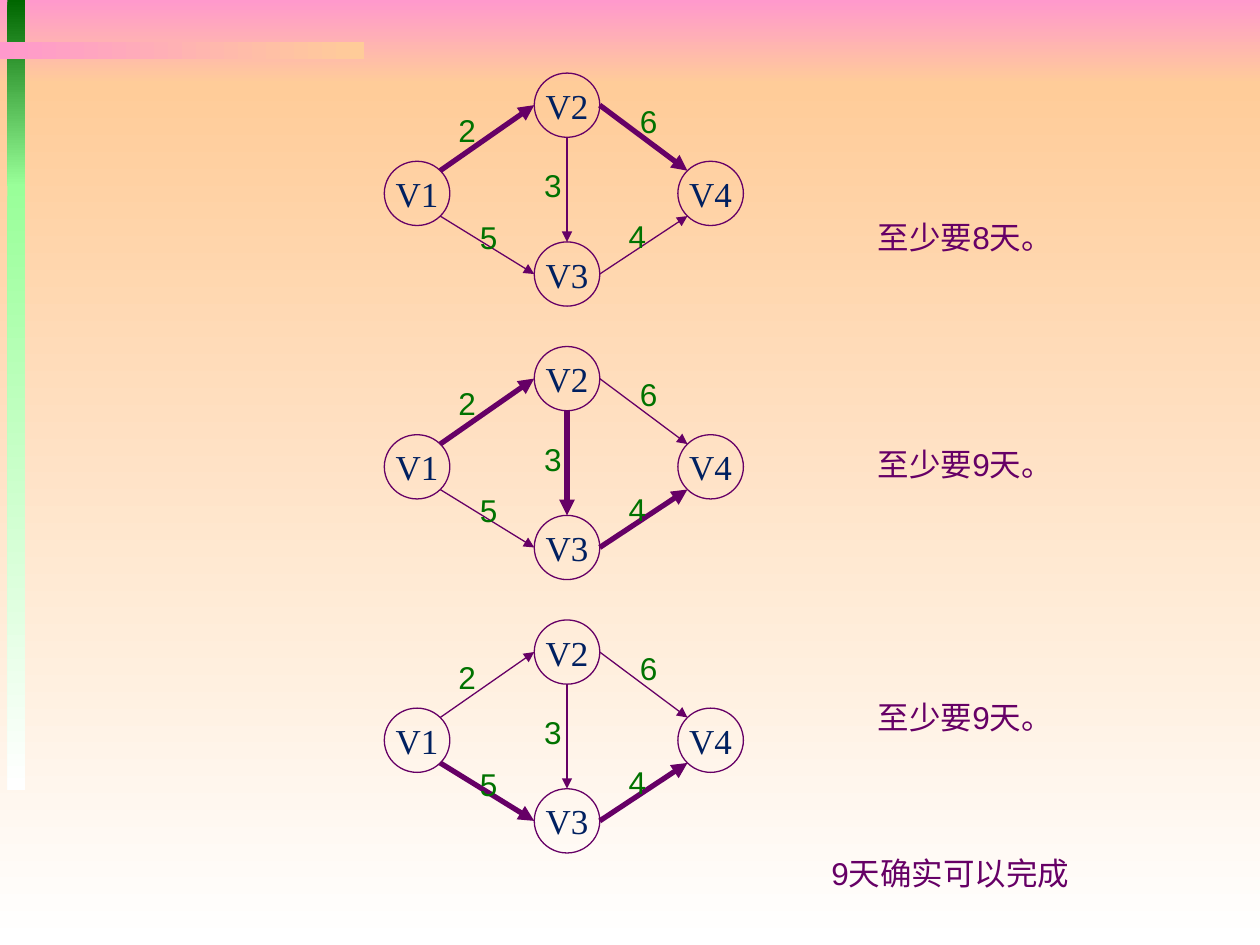
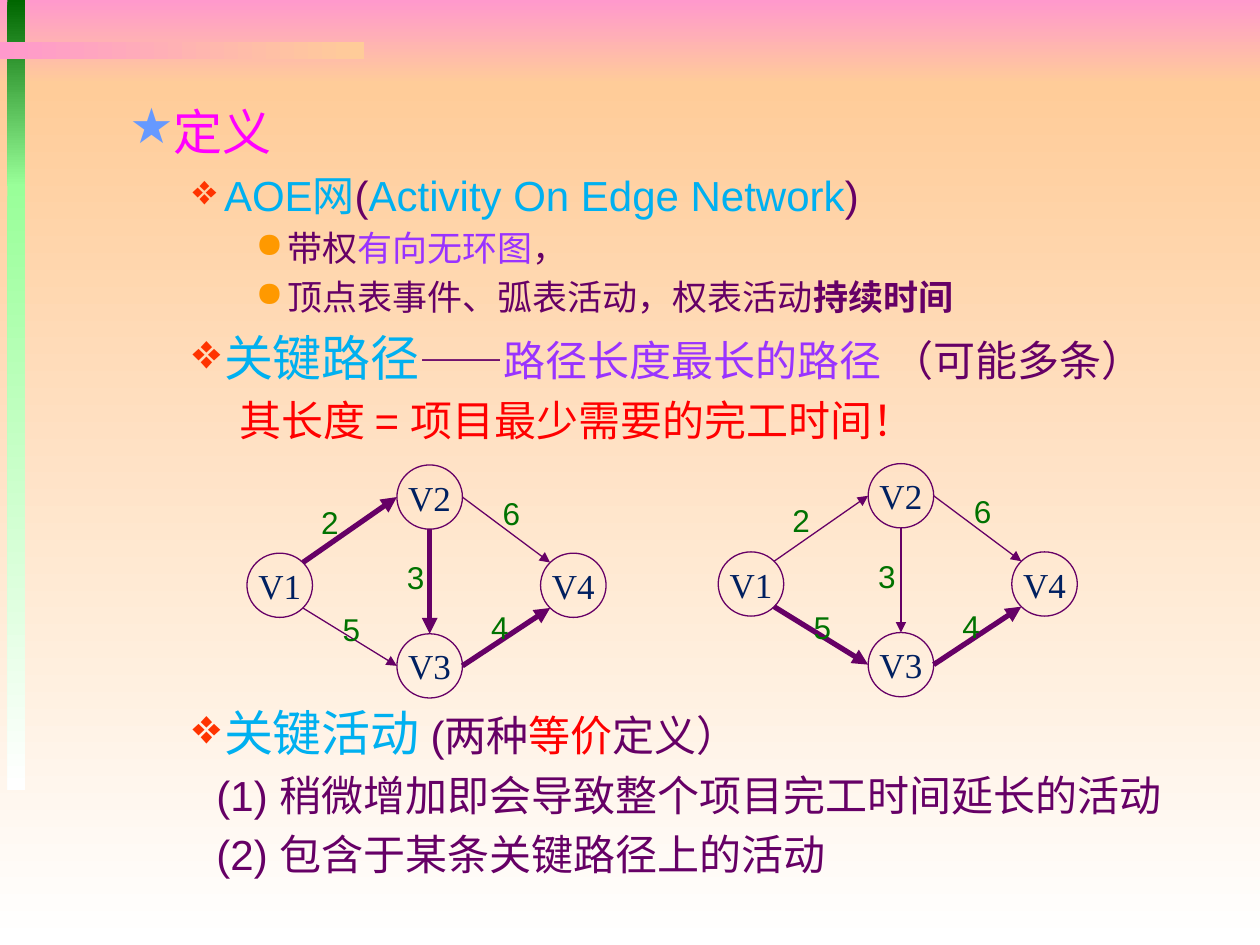
from dataclasses import dataclass
from math import cos, radians, sin

from lxml import etree
from pptx import Presentation
from pptx.dml.color import RGBColor
from pptx.enum.shapes import MSO_CONNECTOR, MSO_SHAPE
from pptx.enum.text import MSO_ANCHOR, PP_ALIGN
from pptx.oxml.ns import qn
from pptx.util import Inches, Pt

RECTANGLE, OVAL = MSO_SHAPE.RECTANGLE, MSO_SHAPE.OVAL
STRAIGHT = MSO_CONNECTOR.STRAIGHT
MIDDLE, TOP = MSO_ANCHOR.MIDDLE, MSO_ANCHOR.TOP
CENTER, LEFT = PP_ALIGN.CENTER, PP_ALIGN.LEFT
COLUMNS, ROWS = 100, 75
CELL = Inches(0.1)


@dataclass(frozen=True)
class Theme:
    ink: str = "660066"
    navy: str = "002060"
    green: str = "007200"
    cyan: str = "00B0F0"
    violet: str = "9933FF"
    red: str = "FF0000"
    magenta: str = "FF00FF"
    pink: str = "FF99CC"
    peach: str = "FFCC99"
    white: str = "FFFFFF"
    forest: str = "006600"
    mint: str = "99FF99"
    star: str = "6699FF"
    diamond: str = "FF3300"
    dot: str = "FF9900"
    sans: str = "Arial"
    serif: str = "Times New Roman"
    heading: int = 28
    body: int = 24
    detail: int = 20
    label: int = 18
    thin: float = 0.75
    thick: float = 3


THEME = Theme()

BANDS = [
    (0, 0, COLUMNS, 6.7, THEME.pink, THEME.peach, 270),
    (0, 6.7, COLUMNS, ROWS - 6.7, THEME.peach, THEME.white, 270),
    (0.6, 0, 1.4, 14.8, THEME.forest, THEME.mint, 270),
    (0.6, 14.6, 1.4, 48.1, THEME.mint, THEME.white, 270),
    (0, 3.3, 28.9, 1.4, THEME.pink, THEME.peach, 0),
]

EVENT_SIZE = (5.2, 5.1)
EVENTS = {"V1": (0, 7), "V2": (11.9, 0), "V3": (11.9, 13.4), "V4": (23.3, 7)}
ACTIVITIES = [
    ("2", "V1", 7, "V2", 2, (4.9, 2.5)),
    ("5", "V1", 5, "V3", 2, (6.6, 11)),
    ("6", "V2", 6, "V4", 1, (19.3, 1.8)),
    ("4", "V3", 6, "V4", 3, (18.4, 10.9)),
    ("3", "V2", 4, "V3", 0, (11.7, 6.9)),
]
UPPER_PATH, MIDDLE_PATH, LOWER_PATH = "26", "234", "54"

STAR = dict(level=1, margin=0.81, hang=0.31, bullet="★", tint=THEME.star)
DIAMOND = dict(level=2, margin=1.25, hang=0.25, bullet="❖", tint=THEME.diamond)
DOT = dict(level=3, margin=1.75, hang=0.25, bullet="●", tint=THEME.dot)
RESULT = dict(level=2, margin=1.37)
NUMBERED = dict(level=2, margin=1.19)
DIAGRAM_GAP = 147

DEFINITION = [
    (STAR, 5.6, [("定义", THEME.heading, THEME.magenta)]),
    (DIAMOND, 4.8, [
        ("AOE网", THEME.body, THEME.cyan),
        ("(", THEME.body, THEME.ink),
        ("Activity On Edge Network", THEME.body, THEME.cyan),
        (")", THEME.body, THEME.ink),
    ]),
    (DOT, 4, [
        ("带权", THEME.detail, THEME.ink),
        ("有向无环图", THEME.detail, THEME.violet),
        ("，", THEME.detail, THEME.ink),
    ]),
    (DOT, 4, [
        ("顶点表事件、弧表活动，权表活动", THEME.detail, THEME.ink),
        ("持续时间", THEME.detail, THEME.ink, True),
    ]),
    (DIAMOND, 5.6, [
        ("关键路径", THEME.heading, THEME.cyan),
        ("——", THEME.body, THEME.ink),
        ("路径长度最长的路径", THEME.body, THEME.violet),
        (" （可能多条）", THEME.body, THEME.ink),
    ]),
    (RESULT, 4.8, [("其长度 = 项目最少需要的完工时间！", THEME.body, THEME.red)]),
    (DIAMOND, DIAGRAM_GAP, [
        ("关键活动 ", THEME.heading, THEME.cyan),
        ("(两种", THEME.body, THEME.ink),
        ("等价", THEME.body, THEME.red),
        ("定义）", THEME.body, THEME.ink),
    ]),
    (NUMBERED, 4.8, [("(1) 稍微增加即会导致整个项目完工时间延长的活动", THEME.body, THEME.ink)]),
    (NUMBERED, 4.8, [("(2) 包含于某条关键路径上的活动", THEME.body, THEME.ink)]),
]


def cells(*counts):
    return [round(count * CELL) for count in counts]


def color(code):
    return RGBColor.from_string(code)


def apply(target, formats):
    for name, value in formats.items():
        setattr(target, name, value)


def add_span(para, text, size, tint, bold=False, face=THEME.sans):
    span = para.add_run()
    span.text = text
    apply(span.font, dict(size=Pt(size), name=face, bold=bold))
    span.font.color.rgb = color(tint)


def add_text(shapes, text, place, tint):
    box = shapes.add_textbox(*cells(*place))
    box.text_frame.word_wrap = True
    add_span(box.text_frame.paragraphs[0], text, THEME.label, tint)


def add_band(page, left, top, width, height, start, end, angle):
    band = page.shapes.add_shape(RECTANGLE, *cells(left, top, width, height))
    band.shadow.inherit = False
    band.line.fill.background()
    band.fill.gradient()
    band.fill.gradient_angle = angle
    for stop, code in zip(band.fill.gradient_stops, (start, end)):
        stop.color.rgb = color(code)
    return band


def dress_master(deck, page):
    tree = deck.slide_master.shapes._spTree
    for number, settings in enumerate(BANDS, 101):
        band = add_band(page, *settings)
        band.name = f"Band {number - 100}"
        band._element.nvSpPr.cNvPr.set("id", str(number))
        tree.append(band._element)


def add_event(shapes, name, left, top):
    event = shapes.add_shape(OVAL, *cells(left, top, *EVENT_SIZE))
    event.shadow.inherit = False
    event.fill.background()
    event.line.color.rgb = color(THEME.ink)
    event.line.width = Pt(THEME.thin)
    frame = event.text_frame
    apply(frame, dict(margin_left=0, margin_right=0, margin_top=0,
                      margin_bottom=0, vertical_anchor=MIDDLE))
    para = frame.paragraphs[0]
    para.alignment = CENTER
    add_span(para, name, THEME.detail, THEME.navy, face=THEME.serif)
    return event


def site_point(event, site):
    angle = radians(90 + 45 * site)
    return (round(event.left + event.width * (1 + cos(angle)) / 2),
            round(event.top + event.height * (1 - sin(angle)) / 2))


def add_activity(shapes, start, start_site, end, end_site, width):
    arrow = shapes.add_connector(STRAIGHT, *site_point(start, start_site),
                                 *site_point(end, end_site))
    arrow.line.color.rgb = color(THEME.ink)
    arrow.line.width = Pt(width)
    etree.SubElement(arrow.line._get_or_add_ln(), qn("a:tailEnd"), type="triangle")
    etree.SubElement(arrow._element.spPr, qn("a:effectLst"))
    joints = arrow._element.nvCxnSpPr.cNvCxnSpPr
    for tag, event, site in (("a:stCxn", start, start_site), ("a:endCxn", end, end_site)):
        etree.SubElement(joints, qn(tag), id=str(event.shape_id), idx=str(site))


def add_network(page, left, top, critical):
    shapes = page.shapes.add_group_shape().shapes
    events = {name: add_event(shapes, name, left + x, top + y)
              for name, (x, y) in EVENTS.items()}
    for days, start, start_site, end, end_site, _ in ACTIVITIES:
        width = THEME.thick if days in critical else THEME.thin
        add_activity(shapes, events[start], start_site, events[end], end_site, width)
    for days, *_, (x, y) in ACTIVITIES:
        add_text(shapes, days, (left + x, top + y, 4.9, 4), THEME.green)


def format_para(para, before, level, margin, hang=0, bullet=None, tint=None):
    apply(para, dict(level=level, space_before=Pt(before), alignment=LEFT))
    settings = para._p.get_or_add_pPr()
    settings.set("marL", str(Inches(margin)))
    settings.set("indent", str(-Inches(hang)))
    if bullet:
        paint = etree.SubElement(settings, qn("a:buClr"))
        etree.SubElement(paint, qn("a:srgbClr"), val=tint)
        etree.SubElement(settings, qn("a:buChar"), char=bullet)


def add_outline(page, place, items):
    frame = page.shapes.add_textbox(*cells(*place)).text_frame
    apply(frame, dict(word_wrap=True, vertical_anchor=TOP))
    for index, (style, before, spans) in enumerate(items):
        para = frame.add_paragraph() if index else frame.paragraphs[0]
        format_para(para, before, **style)
        for span in spans:
            add_span(para, *span)


def fill_paths(page):
    for row, critical in enumerate((UPPER_PATH, MIDDLE_PATH, LOWER_PATH)):
        add_network(page, 30.5, 5.8 + 21.7 * row, critical)
    for days, top in ((8, 16.8), (9, 34.8), (9, 54.9)):
        add_text(page.shapes, f"至少要{days}天。", (68.7, top, 17, 4), THEME.ink)
    add_text(page.shapes, "9天确实可以完成", (65, 67.3, 21.1, 4), THEME.ink)


def fill_definition(page):
    add_outline(page, (4.3, 7.6, 91.4, 58.2), DEFINITION)
    add_network(page, 19.6, 36.9, MIDDLE_PATH)
    add_network(page, 57, 36.8, LOWER_PATH)


def main():
    deck = Presentation()
    apply(deck, dict(slide_width=COLUMNS * CELL, slide_height=ROWS * CELL))
    paths, definition = [deck.slides.add_slide(deck.slide_layouts[6]) for _ in range(2)]
    dress_master(deck, paths)
    fill_paths(paths)
    fill_definition(definition)
    deck.save("out.pptx")


if __name__ == "__main__":
    main()
